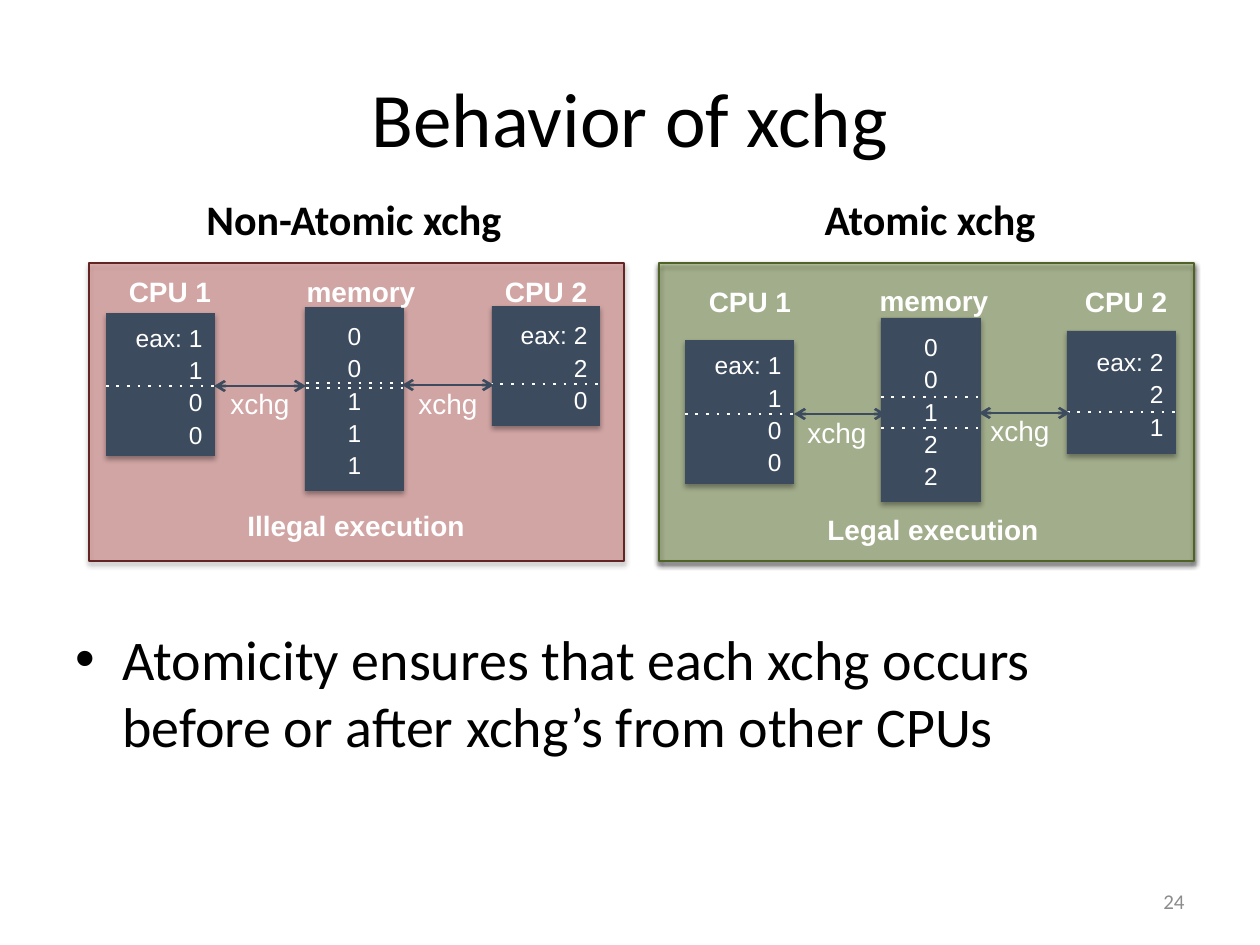
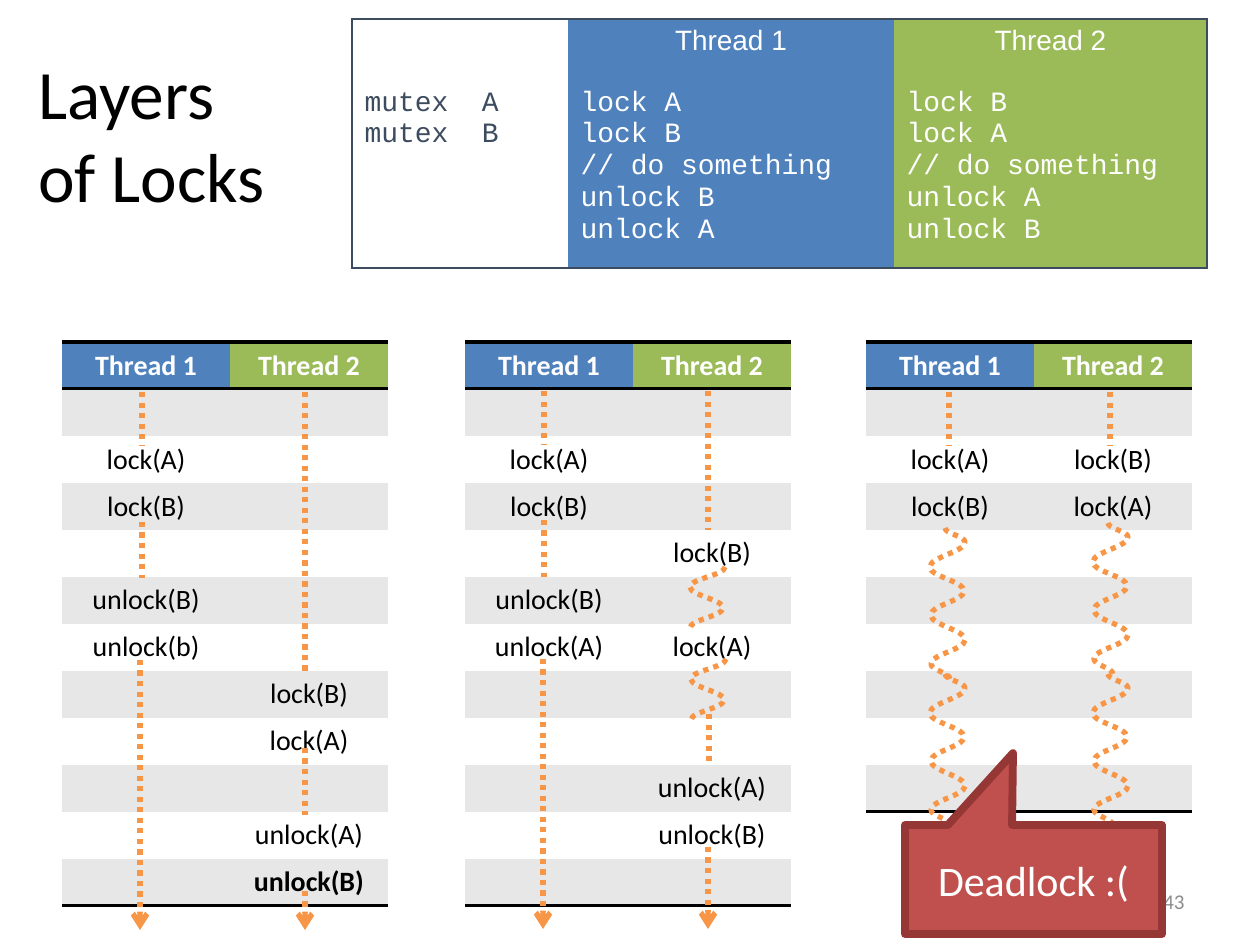
from lxml.etree import SubElement
from pptx import Presentation
from pptx.dml.color import RGBColor
from pptx.enum.shapes import MSO_CONNECTOR as Connector, MSO_SHAPE as Shape
from pptx.enum.text import MSO_ANCHOR as Anchor, MSO_AUTO_SIZE as AutoSize, PP_ALIGN as Align
from pptx.oxml import parse_xml
from pptx.oxml.ns import nsdecls, qn
from pptx.util import Pt

EMU_PER_PX = 914400 / 126
PLAIN_TABLE = "{2D5ABB26-0587-4C30-8999-92F81FD0307C}"
BLACK, WHITE, GREY, BAND = "000000", "FFFFFF", "8C8C8C", "E7E7E7"
SLATE, BLUE, GREEN, RED, ORANGE = "3C4B5E", "4F81BD", "9BBB59", "C0504D", "F79646"
THREAD_COLORS = {"Thread 1": BLUE, "Thread 2": GREEN}

ATOMICITY = "Atomicity ensures that each xchg occurs before or after xchg’s from other CPUs"
LABEL_WIDTHS = {
    "Non-Atomic xchg": 324, "Atomic xchg": 238, "CPU 1": 110, "CPU 2": 110, "memory": 136,
    "xchg": 86, "Illegal execution": 458, "Legal execution": 240,
}
EXECUTIONS = [
    {
        "heading": ("Non-Atomic xchg", 354, 187),
        "panel": (89, 263, 535, 298), "fill": RED, "opacity": 39, "edge": "632523",
        "registers": [
            (["eax: 1\n1\n0\n0"], (106, 313, 109, 143), Align.RIGHT),
            (["eax: 2\n2\n0"], (492, 306, 108, 120), Align.RIGHT),
            (["0\n0", "1\n1\n1"], (305, 307, 99, 184), Align.CENTER),
        ],
        "names": [("CPU 1", 170, 268), ("memory", 361, 268), ("CPU 2", 546, 268),
                  ("Illegal execution", 356, 502)],
        "exchanges": [(260, 380), (448, 380)],
        "cuts": [(106, 218, 386), (490, 602, 384), (306, 407, 383), (306, 407, 388)],
        "swaps": [(214, 306, 386), (402, 494, 385)],
    },
    {
        "heading": ("Atomic xchg", 930, 187),
        "panel": (659, 263, 535, 298), "fill": GREEN, "opacity": 35, "edge": "4F6228",
        "registers": [
            (["eax: 1\n1\n0\n0"], (685, 340, 109, 144), Align.RIGHT),
            (["eax: 2\n2\n1"], (1067, 331, 109, 123), Align.RIGHT),
            (["0\n0\n1\n2\n2"], (881, 318, 100, 184), Align.CENTER),
        ],
        "names": [("CPU 1", 750, 278), ("memory", 934, 277), ("CPU 2", 1126, 278),
                  ("Legal execution", 933, 506)],
        "exchanges": [(837, 409), (1020, 407)],
        "cuts": [(685, 798, 414), (1067, 1178, 412), (881, 982, 397), (881, 982, 428)],
        "swaps": [(794, 886, 414), (979, 1070, 413)],
    },
]

MUTEXES = ["mutex  A\nmutex  B"]
PROGRAMS = {
    "Thread 1": ["lock A\nlock B\n// do something\nunlock B\nunlock A"],
    "Thread 2": ["lock B\nlock A\n// do something", "unlock A\nunlock B"],
}
SHORT_WAVE = [(0, 0), (-35, 20), (-2, 41), (-35, 61)]
LONG_WAVE = [(0, 0), (20, 14), (-15, 39), (19, 63), (-14, 87), (20, 112), (-14, 136), (5, 151)]
SCHEDULES = [
    {
        "left": 62, "steps": 11,
        "calls": [{2: "lock(A)", 3: "lock(B)", 5: "unlock(B)", 6: "unlock(b)"},
                  {7: "lock(B)", 8: "lock(A)", 10: "unlock(A)", 11: "unlock(B)"}],
        "bold_step": 11,
        "runs": [(142, 392, 445), (142, 522, 578), (305, 392, 672), (305, 748, 815)],
        "exits": [(140, 660, 930), (305, 891, 930)],
        "waits": [],
    },
    {
        "left": 465, "steps": 11,
        "calls": [{2: "lock(A)", 3: "lock(B)", 5: "unlock(B)", 6: "unlock(A)"},
                  {4: "lock(B)", 6: "lock(A)", 9: "unlock(A)", 10: "unlock(B)"}],
        "bold_step": None,
        "runs": [(544, 391, 444), (544, 520, 577), (708, 391, 530), (709, 714, 766)],
        "exits": [(543, 659, 929), (708, 847, 929)],
        "waits": [(725, 567, SHORT_WAVE), (726, 659, SHORT_WAVE)],
    },
    {
        "left": 866, "steps": 9,
        "calls": [{2: "lock(A)", 3: "lock(B)"}, {2: "lock(B)", 3: "lock(A)"}],
        "bold_step": None,
        "runs": [(949, 392, 445), (1110, 392, 445)],
        "exits": [],
        "waits": [(945, 528, LONG_WAVE), (945, 674, LONG_WAVE),
                  (1108, 523, LONG_WAVE), (1108, 674, LONG_WAVE)],
    },
]


def px(*lengths):
    return [round(length * EMU_PER_PX) for length in lengths]


def rgb(color):
    return RGBColor.from_string(color)


def style(paragraph, size, color, font="Calibri", bold=False, align=Align.LEFT):
    paragraph.alignment = align
    paragraph.font.size = Pt(size)
    paragraph.font.name = font
    paragraph.font.bold = bold
    paragraph.font.color.rgb = rgb(color)


def write(frame, texts, size, color, **options):
    for index, text in enumerate(texts):
        paragraph = frame.add_paragraph() if index else frame.paragraphs[0]
        if text:
            paragraph.text = text
        style(paragraph, size, color, **options)


def add_text(slide, box, texts, size, color, anchor=Anchor.TOP, wrap=True, **options):
    frame = slide.shapes.add_textbox(*px(*box)).text_frame
    frame.word_wrap = wrap
    frame.vertical_anchor = anchor
    write(frame, texts, size, color, **options)
    return frame


def add_label(slide, text, center, top, size=16, color=WHITE, font="Arial", bold=True):
    width = LABEL_WIDTHS[text]
    frame = add_text(slide, (center - width / 2, top, width, 46), [text], size, color,
                     wrap=False, font=font, bold=bold, align=Align.CENTER)
    frame.auto_size = AutoSize.SHAPE_TO_FIT_TEXT


def add_frame(prs, title, title_box, title_size, title_align, number):
    slide = prs.slides.add_slide(prs.slide_layouts[6])
    add_text(slide, title_box, [title], title_size, BLACK, Anchor.MIDDLE, align=title_align)
    add_text(slide, (903, 876, 294, 50), [number], 12, GREY, Anchor.MIDDLE, align=Align.RIGHT)
    return slide


def add_block(slide, kind, box, fill, edge=None, width=1):
    block = slide.shapes.add_shape(kind, *px(*box))
    block.shadow.inherit = False
    block.fill.solid()
    block.fill.fore_color.rgb = rgb(fill)
    if edge:
        block.line.color.rgb = rgb(edge)
        block.line.width = Pt(width)
    else:
        block.line.fill.background()
    return block


def cast_shadow(block):
    effects = block._element.spPr.find(qn("a:effectLst"))
    effects.append(parse_xml(
        f'<a:outerShdw {nsdecls("a")} blurRad="{Pt(3.1)}" dist="{Pt(1.8)}" dir="5400000" '
        'rotWithShape="0"><a:srgbClr val="000000"><a:alpha val="35000"/></a:srgbClr></a:outerShdw>'))


def set_opacity(block, percent):
    color = block._element.spPr.find(qn("a:solidFill")).find(qn("a:srgbClr"))
    SubElement(color, qn("a:alpha")).set("val", str(percent * 1000))


def style_line(line, color, width, dash=None, ends=()):
    line.color.rgb = rgb(color)
    line.width = Pt(width)
    outline = line._get_or_add_ln()
    if dash:
        SubElement(outline, qn("a:prstDash")).set("val", dash)
    for end in ends:
        SubElement(outline, qn(f"a:{end}")).set("type", "arrow")


def add_line(slide, x1, y1, x2, y2, *look):
    link = slide.shapes.add_connector(Connector.STRAIGHT, *px(x1, y1, x2, y2))
    style_line(link.line, *look)
    SubElement(link._element.spPr, qn("a:effectLst"))


def bend(wave):
    start, *segments = next(wave._element.iter(qn("a:path")))
    x1, y1 = (int(start[0].get(axis)) for axis in "xy")
    for segment in segments:
        x2, y2 = (int(segment[0].get(axis)) for axis in "xy")
        reach = round((y2 - y1) * 0.41)
        curve = SubElement(segment.getparent(), qn("a:cubicBezTo"))
        for x, y in ((x1, y1 + reach), (x2, y2 - reach), (x2, y2)):
            point = SubElement(curve, qn("a:pt"))
            point.set("x", str(x))
            point.set("y", str(y))
        segment.getparent().remove(segment)
        x1, y1 = x2, y2


def add_wave(slide, left, top, turns):
    start, *points = [px(left + x, top + y) for x, y in turns]
    builder = slide.shapes.build_freeform(*start)
    builder.add_line_segments(points, close=False)
    wave = builder.convert_to_shape()
    bend(wave)
    wave.shadow.inherit = False
    wave.fill.background()
    style_line(wave.line, ORANGE, 3, "sysDot")


def add_plain_table(slide, left, top, widths, heights):
    box = px(left, top, sum(widths), sum(heights))
    table = slide.shapes.add_table(len(heights), len(widths), *box).table
    table.first_row = table.horz_banding = False
    table._tbl.tblPr.find(qn("a:tableStyleId")).text = PLAIN_TABLE
    for column, width in zip(table.columns, px(*widths)):
        column.width = width
    for row, height in zip(table.rows, px(*heights)):
        row.height = height
    return table


def paint(cell, fill, sides="", color=BLACK, width=2):
    cell.fill.solid()
    cell.fill.fore_color.rgb = rgb(fill)
    for position, side in enumerate(sides):
        cell._tc.tcPr.insert(position, parse_xml(
            f'<a:ln{side} {nsdecls("a")} w="{Pt(width)}"><a:solidFill>'
            f'<a:srgbClr val="{color}"/></a:solidFill></a:ln{side}>'))


def add_execution(slide, execution):
    panel = add_block(slide, Shape.ROUNDED_RECTANGLE, execution["panel"],
                      execution["fill"], execution["edge"])
    panel.adjustments[0] = 0
    set_opacity(panel, execution["opacity"])
    cast_shadow(panel)
    for values, box, align in execution["registers"]:
        register = add_block(slide, Shape.RECTANGLE, box, SLATE)
        cast_shadow(register)
        register.text_frame.vertical_anchor = Anchor.MIDDLE
        write(register.text_frame, values, 14, WHITE, font="Arial", align=align)
        for paragraph in register.text_frame.paragraphs:
            paragraph.line_spacing = 1.1
    for center, top in execution["exchanges"]:
        add_label(slide, "xchg", center, top, bold=False)
    for name in execution["names"]:
        add_label(slide, *name)
    for x1, x2, y in execution["cuts"]:
        add_line(slide, x1, y, x2, y, WHITE, 1.5, "dot")
    for x1, x2, y in execution["swaps"]:
        add_line(slide, x1, y, x2, y, SLATE, 1.5, None, ("headEnd", "tailEnd"))
    add_label(slide, *execution["heading"], 24, BLACK, "Calibri")


def add_programs(slide):
    table = add_plain_table(slide, 352, 19, [216, 326, 313], [249])
    mutexes, *threads = table.rows[0].cells
    paint(mutexes, WHITE, "LTB", SLATE, 1)
    mutexes.margin_top, = px(69)
    write(mutexes.text_frame, MUTEXES, 16, SLATE, font="Courier New")
    for cell, (thread, code), sides in zip(threads, PROGRAMS.items(), ("TB", "RTB")):
        paint(cell, THREAD_COLORS[thread], sides, SLATE, 1)
        write(cell.text_frame, [thread] + code, 16, WHITE, font="Courier New")
        heading, first_calls = cell.text_frame.paragraphs[:2]
        style(heading, 16, WHITE, "Arial", align=Align.CENTER)
        first_calls.space_before = Pt(18)


def add_schedule(slide, schedule):
    steps = schedule["steps"]
    table = add_plain_table(slide, schedule["left"], 342, [168, 158], [47] * (steps + 1))
    for column, (thread, calls) in enumerate(zip(THREAD_COLORS, schedule["calls"])):
        for step in range(steps + 1):
            cell = table.cell(step, column)
            cell.margin_top = cell.margin_bottom = 0
            cell.vertical_anchor = Anchor.MIDDLE
            if step == 0:
                paint(cell, THREAD_COLORS[thread], "TB")
                write(cell.text_frame, [thread], 16, WHITE, bold=True, align=Align.CENTER)
            else:
                paint(cell, BAND if step % 2 else WHITE, "B" if step == steps else "")
                write(cell.text_frame, [calls.get(step, "")], 16, BLACK,
                      bold=step == schedule["bold_step"], align=Align.CENTER)
    for x, y1, y2 in schedule["runs"]:
        add_line(slide, x, y1, x, y2, ORANGE, 3, "sysDot")
    for x, y1, y2 in schedule["exits"]:
        add_line(slide, x, y1, x, y2, ORANGE, 3, "sysDot", ("tailEnd",))
    for wait in schedule["waits"]:
        add_wave(slide, *wait)


def build_xchg(prs):
    slide = add_frame(prs, "Behavior of xchg", (63, 38, 1134, 158), 44, Align.CENTER, "24")
    body = add_text(slide, (63, 618, 1134, 227), [ATOMICITY], 32, BLACK)
    bullet = body.paragraphs[0]._p.get_or_add_pPr()
    indent, = px(47)
    bullet.set("marL", str(indent))
    bullet.set("indent", str(-indent))
    bullet.insert(0, parse_xml(f'<a:buFont {nsdecls("a")} typeface="Arial"/>'))
    bullet.insert(1, parse_xml(f'<a:buChar {nsdecls("a")} char="•"/>'))
    for execution in EXECUTIONS:
        add_execution(slide, execution)


def build_locks(prs):
    slide = add_frame(prs, "Layers\nof Locks", (26, 40, 1134, 186), 39.6, Align.LEFT, "43")
    add_programs(slide)
    for schedule in SCHEDULES:
        add_schedule(slide, schedule)
    deadlock = add_block(slide, Shape.RECTANGULAR_CALLOUT, (905, 825, 257, 109), RED, "953735", 4.5)
    deadlock.adjustments[0], deadlock.adjustments[1] = -0.08, -1.16
    deadlock.text_frame.vertical_anchor = Anchor.MIDDLE
    write(deadlock.text_frame, ["Deadlock :("], 24, WHITE, align=Align.CENTER)


def main():
    prs = Presentation()
    prs.slide_width, prs.slide_height = px(1260, 945)
    build_xchg(prs)
    build_locks(prs)
    prs.save("out.pptx")


if __name__ == "__main__":
    main()
